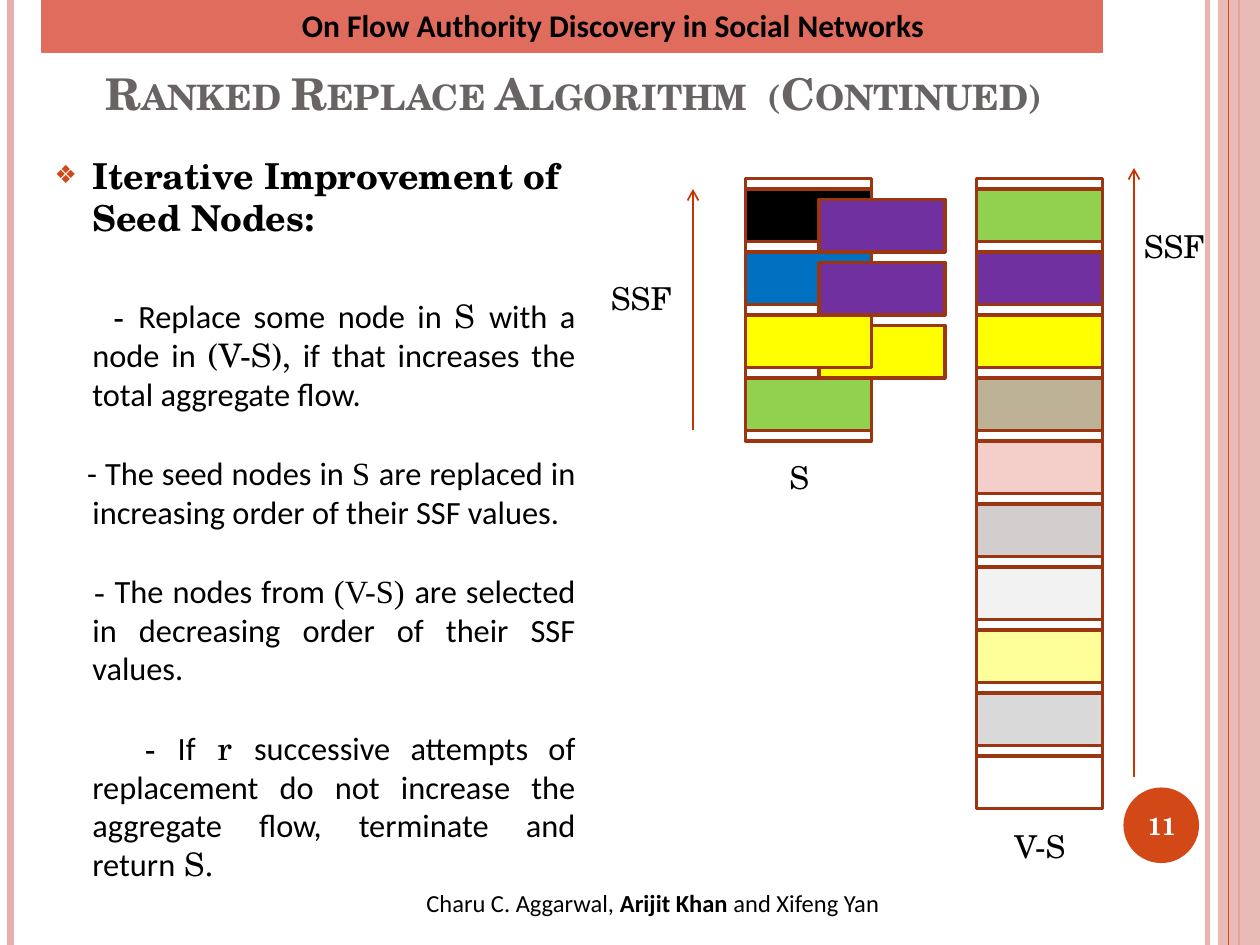
from dataclasses import dataclass
from typing import Optional

from lxml.etree import SubElement
from pptx import Presentation
from pptx.dml.color import RGBColor
from pptx.enum.shapes import MSO_CONNECTOR, MSO_SHAPE
from pptx.enum.text import MSO_ANCHOR, MSO_AUTO_SIZE, PP_ALIGN
from pptx.oxml.ns import qn
from pptx.util import Pt

COLORS = {
    "accent": "D34817", "pink": "E6B1AC", "banner": "DF6C5D", "title": "696464",
    "border": "9C3511", "arrow": "C83400", "black": "000000", "white": "FFFFFF",
    "blue": "0070C0", "green": "92D050", "purple": "7030A0", "yellow": "FFFF00",
    "tan": "BDB196", "rose": "F4CEC9", "warm gray": "D3CECE", "pale gray": "F2F2F2",
    "pale yellow": "FFFF99", "gray": "D9D9D9",
}
SERIF, SANS, TIMES = "TeX Gyre Schola", "Calibri", "Times New Roman"
NODE_W, NODE_H, NODE_STEP = 72, 30, 36
SEED_X, REST_X, MOVED_X = 426, 558, 468
NODES_TOP, MOVED_TOP = 108, 114


@dataclass
class Box:
    left: float
    top: float
    width: float
    height: float

    def lengths(self) -> list:
        return [Pt(v) for v in (self.left, self.top, self.width, self.height)]


@dataclass
class Line:
    x: float
    start: float
    end: float
    color: str
    weight: float
    alpha: int = 100
    arrow: bool = False


@dataclass
class Run:
    text: str
    font: str = SANS
    bold: bool = False


@dataclass
class Label:
    box: Box
    runs: list
    size: float = 18
    color: str = "black"
    align: PP_ALIGN = PP_ALIGN.LEFT
    anchor: MSO_ANCHOR = MSO_ANCHOR.TOP
    wrap: bool = True


@dataclass
class Item:
    first_indent: float
    space_before: float
    runs: list


def rgb(name: str) -> RGBColor:
    return RGBColor.from_string(COLORS[name])


def set_alpha(element, percent: int) -> None:
    if percent < 100:
        clr = next(element.iter(qn("a:srgbClr")))
        SubElement(clr, qn("a:alpha"), val=str(percent * 1000))


def add_runs(p, runs: list, size: float, color: str) -> None:
    for run in runs:
        r = p.add_run()
        r.text = run.text
        r.font.name, r.font.size, r.font.bold = run.font, Pt(size), run.bold
        r.font.color.rgb = rgb(color)


def add_shape(s, box: Box, fill: Optional[str], line: Optional[str] = None,
              weight: float = 2, kind=MSO_SHAPE.RECTANGLE, alpha: int = 100) -> None:
    sp = s.shapes.add_shape(kind, *box.lengths())
    sp.shadow.inherit = False
    if fill:
        sp.fill.solid()
        sp.fill.fore_color.rgb = rgb(fill)
        set_alpha(sp.fill._xPr, alpha)
    else:
        sp.fill.background()
    if line:
        sp.line.color.rgb, sp.line.width = rgb(line), Pt(weight)
    else:
        sp.line.fill.background()


def add_line(s, line: Line) -> None:
    c = s.shapes.add_connector(MSO_CONNECTOR.STRAIGHT, Pt(line.x), Pt(line.start),
                               Pt(line.x), Pt(line.end))
    c.line.color.rgb, c.line.width = rgb(line.color), Pt(line.weight)
    ln = c.line._get_or_add_ln()
    set_alpha(ln, line.alpha)
    if line.arrow:
        SubElement(ln, qn("a:tailEnd"), type="arrow")
    SubElement(c._element.spPr, qn("a:effectLst"))


def add_label(s, label: Label) -> None:
    tf = s.shapes.add_textbox(*label.box.lengths()).text_frame
    tf.word_wrap, tf.vertical_anchor = label.wrap, label.anchor
    tf.paragraphs[0].alignment = label.align
    add_runs(tf.paragraphs[0], label.runs, label.size, label.color)


def add_nodes(s, x: float, top: float, colors: list, first: int = 0) -> None:
    """Stack node rectangles downwards, starting at slot number first."""
    for i, color in enumerate(colors, first):
        add_shape(s, Box(x, top + i * NODE_STEP, NODE_W, NODE_H), color, "border")


def place(ph, box: Box, anchor: MSO_ANCHOR):
    ph.left, ph.top, ph.width, ph.height = box.lengths()
    tf = ph.text_frame
    tf.word_wrap, tf.auto_size, tf.vertical_anchor = True, MSO_AUTO_SIZE.NONE, anchor
    return tf


def fill_title(ph) -> None:
    p = place(ph, Box(34, 30, 588, 42), MSO_ANCHOR.BOTTOM).paragraphs[0]
    p.alignment = PP_ALIGN.CENTER
    add_runs(p, [Run("Ranked Replace Algorithm  (Continued)", SERIF, True)], 25, "title")
    p.runs[0].font._element.set("cap", "small")


def fill_body(ph, heading: str, items: list) -> None:
    tf = place(ph, Box(24, 84, 312, 378), MSO_ANCHOR.TOP)
    p = tf.paragraphs[0]
    pPr = p._p.get_or_add_pPr()
    pPr.set("marL", str(Pt(21.6)))
    pPr.set("indent", str(Pt(-21.6)))
    SubElement(SubElement(pPr, qn("a:buClr")), qn("a:srgbClr"), val=COLORS["accent"])
    SubElement(pPr, qn("a:buSzPct"), val="70000")
    SubElement(pPr, qn("a:buChar"), char="❖")
    p.space_before = Pt(0)
    add_runs(p, [Run(heading, SERIF, True)], 20.4, "black")
    for item in items:
        p = tf.add_paragraph()
        pPr = p._p.get_or_add_pPr()
        pPr.set("marL", str(Pt(21.6)))
        pPr.set("indent", str(Pt(item.first_indent)))
        SubElement(pPr, qn("a:buNone"))
        p.alignment, p.space_before = PP_ALIGN.JUSTIFY, Pt(item.space_before)
        add_runs(p, item.runs, 18.5, "black")


ITEMS = [
    Item(12, 32.5, [Run("- ", SERIF), Run("Replace some node in "), Run("S ", SERIF),
                    Run("with a node in "), Run("(V-S),", SERIF),
                    Run(" if that increases the total aggregate flow.")]),
    Item(-3, 23, [Run("- The seed nodes in "), Run("S ", TIMES),
                  Run("are replaced in increasing order of their SSF values.")]),
    Item(1, 23, [Run("- ", TIMES), Run("The nodes from "), Run("(V-S) ", TIMES),
                 Run("are selected in decreasing order of their SSF values.")]),
    Item(30, 23, [Run("- ", SERIF), Run("If"), Run(" r ", SERIF),
                  Run("successive attempts of replacement do not increase the "
                      "aggregate flow, terminate and return"), Run(" S.", SERIF)]),
]
EDGE_LINES = [Line(690, 0, 540, "pink", 3, 93), Line(6, 0, 540, "pink", 4.5),
              Line(708, 0, 540, "accent", 1.5)]
ARROWS = [Line(396, 246, 108, "arrow", 1, arrow=True),
          Line(648, 444, 96, "arrow", 1, arrow=True)]
LABELS = [
    Label(Box(165.4, 0, 385, 29), [Run("On Flow Authority Discovery in Social Networks",
                                       bold=True)]),
    Label(Box(193, 504, 360, 30), [Run("Charu C. Aggarwal, "), Run("Arijit Khan ", bold=True),
                                   Run("and Xifeng Yan")], 14, align=PP_ALIGN.CENTER),
    Label(Box(640, 451.5, 48, 41), [Run("11", SERIF, True)], 14, "white",
          PP_ALIGN.CENTER, MSO_ANCHOR.MIDDLE),
    Label(Box(444, 258, 26, 29), [Run("S", SERIF)], wrap=False),
    Label(Box(572.5, 469, 45, 29), [Run("V-S", SERIF)], wrap=False),
    Label(Box(342, 156, 68, 29), [Run("SSF", SERIF)]),
    Label(Box(646.5, 126, 68, 29), [Run("SSF", SERIF)]),
]


def main() -> None:
    prs = Presentation()
    prs.slide_width, prs.slide_height = Pt(720), Pt(540)
    s = prs.slides.add_slide(prs.slide_layouts[1])
    fill_title(s.shapes.title)
    fill_body(s.placeholders[1], "Iterative Improvement of Seed Nodes:", ITEMS)

    for line in EDGE_LINES:
        add_line(s, line)
    add_shape(s, Box(696, 0, 24, 540), "pink", alpha=87)
    add_line(s, Line(702, 0, 540, "accent", 0.75))
    add_shape(s, Box(642, 450, 43.2, 43.2), "accent", kind=MSO_SHAPE.OVAL)
    add_shape(s, Box(24, 0, 606, 30), "banner", "banner", 0.75)

    add_shape(s, Box(SEED_X, 102, NODE_W, 150), None, "border")
    add_shape(s, Box(REST_X, 102, NODE_W, 360), None, "border")
    add_nodes(s, SEED_X, NODES_TOP, ["black", "blue"])
    add_nodes(s, REST_X, NODES_TOP, ["green", "purple", "yellow", "tan", "rose", "warm gray",
                                     "pale gray", "pale yellow", "gray", "white"])
    add_nodes(s, MOVED_X, MOVED_TOP, ["purple", "purple", "yellow"])
    add_nodes(s, SEED_X, NODES_TOP, ["yellow", "green"], first=2)

    for arrow in ARROWS:
        add_line(s, arrow)
    for label in LABELS:
        add_label(s, label)
    prs.save("out.pptx")


if __name__ == "__main__":
    main()
